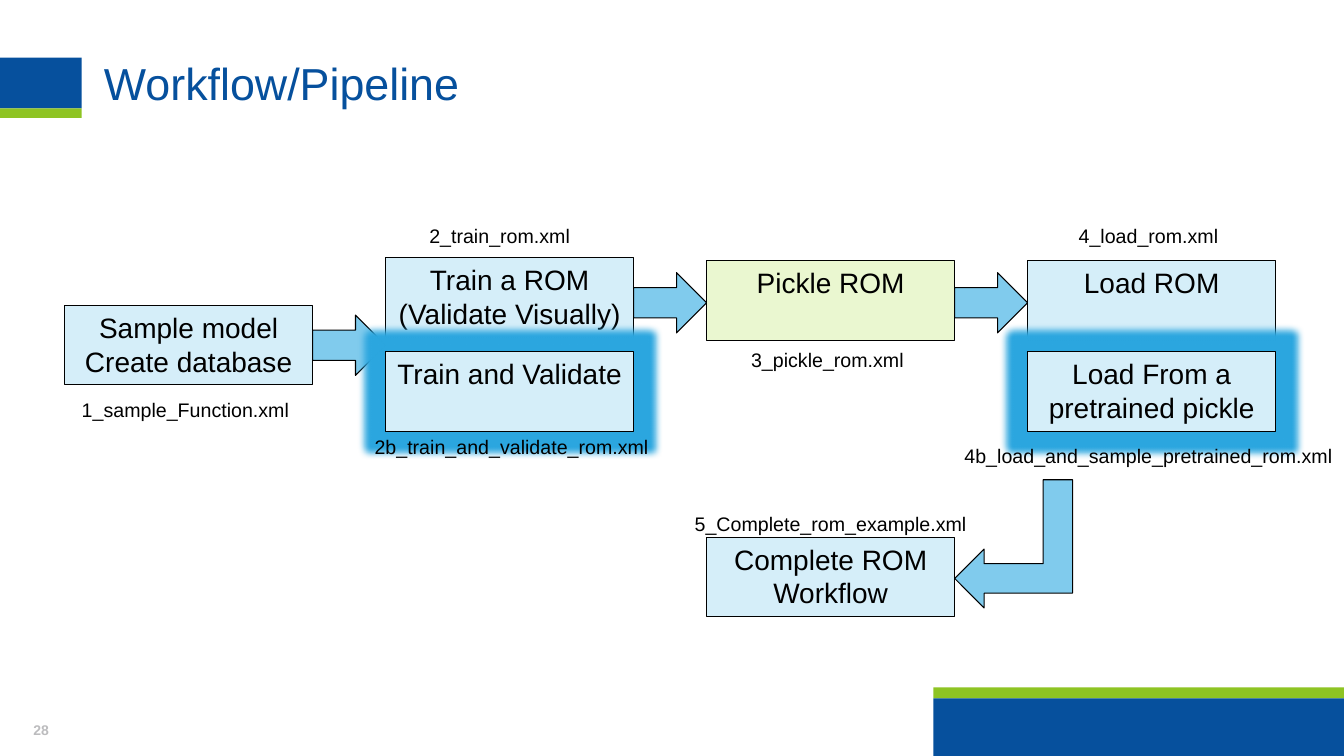
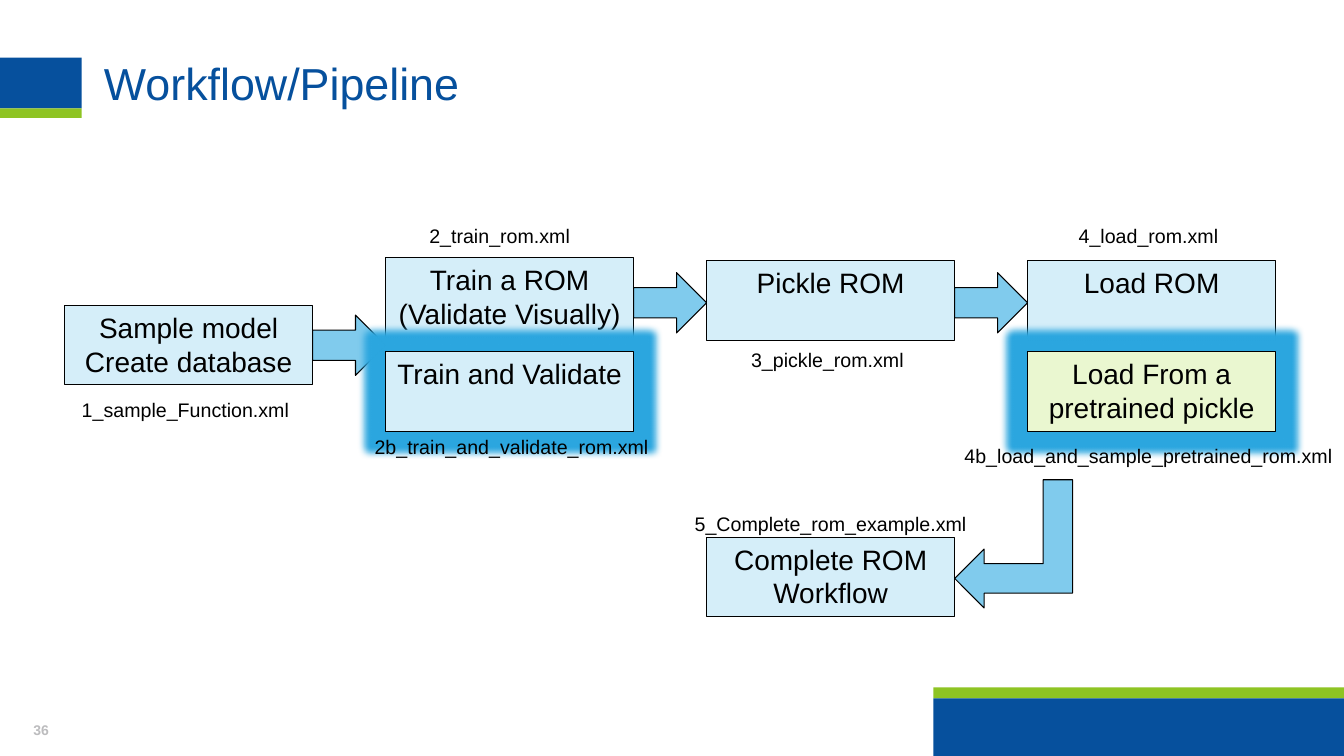
from lxml import etree
from pptx import Presentation
from pptx.dml.color import RGBColor
from pptx.enum import shapes, text
from pptx.oxml import ns
from pptx.util import Cm, Pt

FONT = "Arial"
COLOURS = {
    "blue": "06509D", "green": "8EC423", "number": "BCBCBE", "black": "000000",
    "step": "D5EEF9", "current": "EAF7D0", "arrow": "80CBED", "glow": "2CA7E0",
}
SLIDE_WIDTH, SLIDE_HEIGHT = 33.87, 19.05
STEP_WIDTH, STEP_HEIGHT, COLUMN_PITCH = 6.25, 2.0, 8.09
ARROW_HEIGHT = 1.52
LABEL_WIDTH, LABEL_HEIGHT = 7.8, 0.86

# column, top, paragraphs, glowing
STEPS = [
    (0, 2.19, ["Sample model Create database"], False),
    (1, 0.99, ["Train a ROM", "(Validate Visually)"], False),
    (1, 3.36, ["Train and Validate"], True),
    (2, 1.06, ["Pickle ROM"], False),
    (3, 1.06, ["Load ROM"], False),
    (3, 3.36, ["Load From a pretrained pickle"], True),
    (2, 8.03, ["Complete ROM Workflow"], False),
]
# column, shift from the column's centre, top, file name, width
LABELS = [
    (0, -0.08, 4.4, "1_sample_Function.xml", LABEL_WIDTH),
    (1, -0.25, 0, "2_train_rom.xml", LABEL_WIDTH),
    (1, 0.05, 5.33, "2b_train_and_validate_rom.xml", LABEL_WIDTH),
    (2, -0.08, 3.12, "3_pickle_rom.xml", LABEL_WIDTH),
    (3, -0.08, 0, "4_load_rom.xml", LABEL_WIDTH),
    (3, -0.08, 5.54, "4b_load_and_sample_pretrained_rom.xml", 9.8),
    (2, 0, 7.27, "5_Complete_rom_example.xml", LABEL_WIDTH),
]
ARROW_TOPS = [2.43, 1.36, 1.36]  # one in each gap between columns


def colour(name):
    return RGBColor.from_string(COLOURS[name])


def add_shape(slide, preset, left, top, width, height, fill, outlined=True):
    shape = slide.shapes.add_shape(preset, Cm(left), Cm(top), Cm(width), Cm(height))
    shape.shadow.inherit = False
    shape.fill.solid()
    shape.fill.fore_color.rgb = colour(fill)
    if outlined:
        shape.line.color.rgb = colour("black")
        shape.line.width = Pt(0.75)
    else:
        shape.line.fill.background()
    return shape


def write(shape, lines, size, ink="black", align=text.PP_ALIGN.CENTER,
          anchor=text.MSO_ANCHOR.TOP, bold=False):
    frame = shape.text_frame
    frame.word_wrap = True
    frame.vertical_anchor = anchor
    frame.text = "\n".join(lines)
    for paragraph in frame.paragraphs:
        paragraph.alignment = align
        paragraph.font.name = FONT
        paragraph.font.size = Pt(size)
        paragraph.font.bold = bold
        paragraph.font.color.rgb = colour(ink)
    return frame


def add_text(slide, left, top, width, height, line, size, **style):
    box = slide.shapes.add_textbox(Cm(left), Cm(top), Cm(width), Cm(height))
    return write(box, [line], size, **style)


def add_glow(shape):
    effects = shape.element.spPr.find(ns.qn("a:effectLst"))
    glow = etree.SubElement(effects, ns.qn("a:glow"), rad=str(Pt(10)))
    etree.SubElement(glow, ns.qn("a:srgbClr"), val=COLOURS["glow"])


def draw_band(slide, left, top, width, stripes):
    """Stack (fill, height) stripes downwards."""
    for fill, height in stripes:
        add_shape(slide, shapes.MSO_SHAPE.RECTANGLE, left, top, width, height, fill, outlined=False)
        top += height


def draw_header(slide, top, title):
    draw_band(slide, 0, top, 2.06, [("blue", 1.28), ("green", 0.24)])
    frame = add_text(slide, 2.62, top + 0.1, 28.93, 2.79, title, 32,
                     ink="blue", align=text.PP_ALIGN.LEFT)
    frame.margin_left = frame.margin_top = 0
    frame.paragraphs[0].line_spacing = 0.9


def draw_footer(slide, top, number):
    width = 10.35
    draw_band(slide, SLIDE_WIDTH - width, top, width, [("green", 0.28), ("blue", 1.45)])
    frame = add_text(slide, 0.43, top + 0.71, 1.22, 1.02, str(number), 10,
                     ink="number", anchor=text.MSO_ANCHOR.MIDDLE, bold=True)
    frame.margin_bottom = Cm(0.43)


def draw_return_arrow(slide, left, top, width, height):
    """Arrow running down and then left, inside the given box."""
    arrow = add_shape(slide, shapes.MSO_SHAPE.BENT_UP_ARROW, left + (width - height) / 2,
                      top + (height - width) / 2, height, width, "arrow")
    arrow.rotation = 270
    arrow.element.spPr.xfrm.set("flipH", "1")


def draw_pipeline(slide, left, top, current):
    columns = [left + COLUMN_PITCH * index for index in range(4)]
    for column, arrow_top in zip(columns, ARROW_TOPS):
        add_shape(slide, shapes.MSO_SHAPE.RIGHT_ARROW, column + STEP_WIDTH, top + arrow_top,
                  COLUMN_PITCH - STEP_WIDTH, ARROW_HEIGHT, "arrow")
    draw_return_arrow(slide, columns[2] + STEP_WIDTH, top + 6.58, 2.97, 3.23)
    for column, step_top, lines, glowing in STEPS:
        fill = "current" if lines[0] == current else "step"
        step = add_shape(slide, shapes.MSO_SHAPE.RECTANGLE, columns[column], top + step_top,
                         STEP_WIDTH, STEP_HEIGHT, fill)
        write(step, lines, 20)
        if glowing:
            add_glow(step)
    for column, shift, label_top, name, width in LABELS:
        centre = columns[column] + STEP_WIDTH / 2 + shift
        add_text(slide, centre - width / 2, top + label_top, width, LABEL_HEIGHT, name, 14)


def add_workflow_slide(presentation, number, current):
    slide = presentation.slides.add_slide(presentation.slide_layouts[6])
    draw_footer(slide, 17.32, number)
    draw_header(slide, 1.45, "Workflow/Pipeline")
    draw_pipeline(slide, 1.63, 5.51, current)


def main():
    presentation = Presentation()
    presentation.slide_width = Cm(SLIDE_WIDTH)
    presentation.slide_height = Cm(SLIDE_HEIGHT)
    add_workflow_slide(presentation, 28, "Pickle ROM")
    add_workflow_slide(presentation, 36, "Load From a pretrained pickle")
    presentation.save("out.pptx")


if __name__ == "__main__":
    main()
